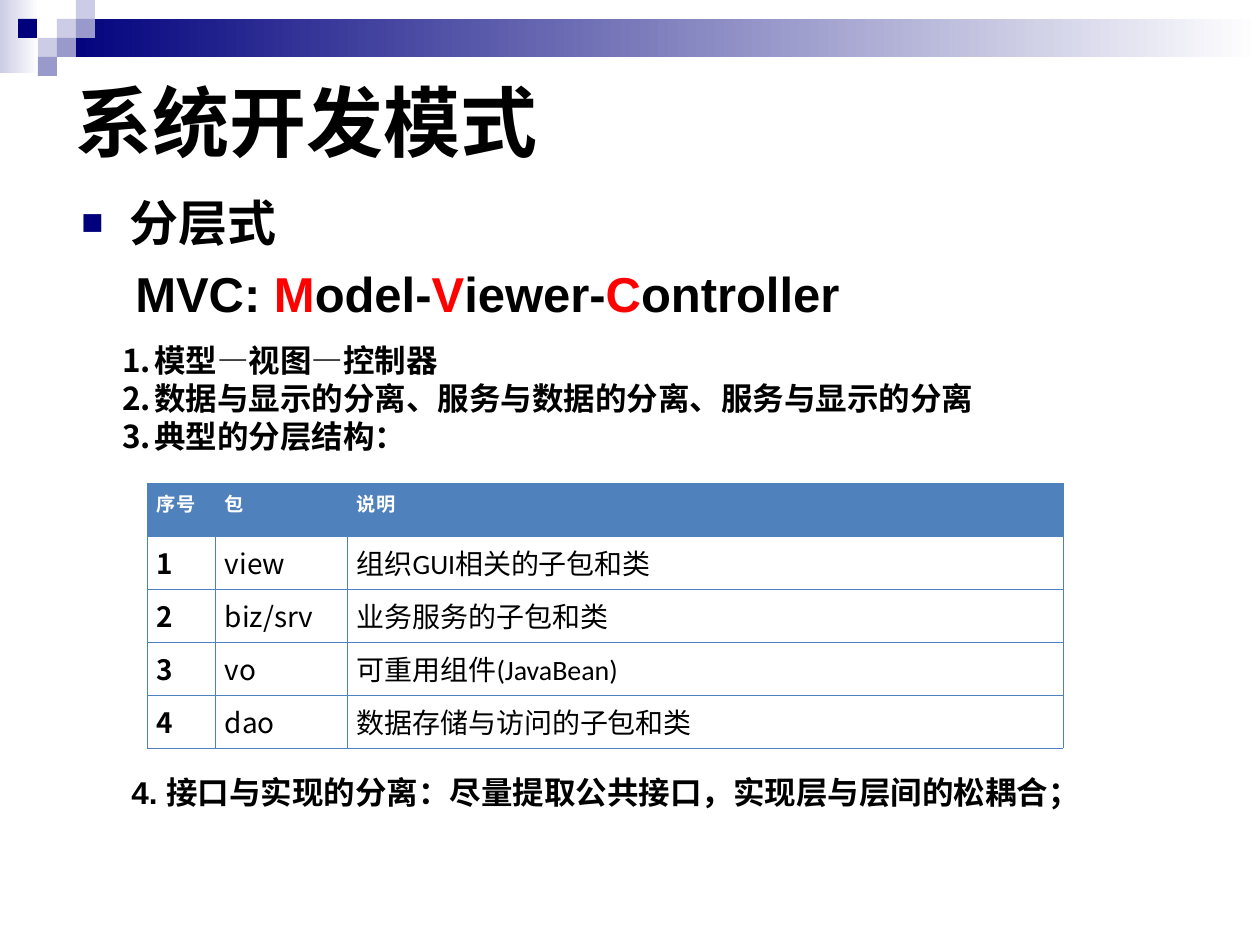
from lxml.etree import SubElement
from pptx import Presentation
from pptx.dml.color import RGBColor
from pptx.enum.shapes import MSO_SHAPE as Shape
from pptx.enum.text import MSO_ANCHOR as Anchor, MSO_AUTO_SIZE as AutoSize, PP_ALIGN as Align
from pptx.oxml.ns import qn
from pptx.util import Emu, Pt

EMU_PER_PX = 914400 / 126
COLORS = {
    "navy": "00007D",
    "violet": "9999CC",
    "lavender": "CCCCE6",
    "white": "FFFFFF",
    "black": "000000",
    "red": "FF0000",
    "table": "4F81BD",
}
HEADING = {"name": "Arial", "size": Pt(44), "bold": True}
TOPIC = {"name": "Arial", "size": Pt(28), "bold": True}
POINT = {"name": "Arial", "size": Pt(18), "bold": True}
HEADER = {"name": "Calibri", "size": Pt(11), "bold": True}
COLUMN_FONTS = [
    {"name": "Noto Sans CJK SC", "size": Pt(16), "bold": True},
    {"name": "Noto Sans CJK SC", "size": Pt(16), "bold": False},
    {"name": "Calibri", "size": Pt(16), "bold": False},
]
CELL = 19
SQUARES = [
    (57, 19, "lavender"),
    (76, 0, "lavender"),
    (76, 19, "violet"),
    (38, 38, "lavender"),
    (18, 19, "navy"),
    (57, 38, "violet"),
    (38, 57, "violet"),
]
MVC_PARTS = [
    ("MVC: ", "black"),
    ("M", "red"),
    ("odel-", "black"),
    ("V", "red"),
    ("iewer-", "black"),
    ("C", "red"),
    ("ontroller", "black"),
]
POINTS = [
    "模型—视图—控制器",
    "数据与显示的分离、服务与数据的分离、服务与显示的分离",
    "典型的分层结构：",
]
LAYERS = [
    ("序号", "包", "说明"),
    ("1", "view", "组织GUI相关的子包和类"),
    ("2", "biz/srv", "业务服务的子包和类"),
    ("3", "vo", "可重用组件(JavaBean)"),
    ("4", "dao", "数据存储与访问的子包和类"),
]
COLUMN_WIDTHS = [68, 132, 716]
ROW_HEIGHT = 53


def px(value):
    return Emu(round(value * EMU_PER_PX))


def box(*lengths):
    return [px(length) for length in lengths]


def color(name):
    return RGBColor.from_string(COLORS[name])


def apply(target, values):
    for name, value in values.items():
        setattr(target, name, value)


def add_run(paragraph, text, font, color_name="black"):
    run = paragraph.add_run()
    run.text = text
    apply(run.font, font)
    run.font.color.rgb = color(color_name)


def set_indent(paragraph, left, first=0):
    properties = paragraph._p.get_or_add_pPr()
    properties.set("marL", str(px(left)))
    properties.set("indent", str(px(first)))
    return properties


def add_bullet(properties, color_name, size, font, tag, **marker):
    bullet_color = SubElement(properties, qn("a:buClr"))
    SubElement(bullet_color, qn("a:srgbClr"), val=COLORS[color_name])
    SubElement(properties, qn("a:buSzPct"), val=str(size * 1000))
    SubElement(properties, qn("a:buFont"), typeface=font)
    SubElement(properties, qn(tag), **marker)


def add_rectangle(slide, position, color_name, fade=False):
    shape = slide.shapes.add_shape(Shape.RECTANGLE, *box(*position))
    shape.shadow.inherit = False
    shape.line.fill.background()
    if fade:
        shape.fill.gradient()
        shape.fill.gradient_angle = 0
        for stop, name in zip(shape.fill.gradient_stops, (color_name, "white")):
            stop.color.rgb = color(name)
    else:
        shape.fill.solid()
        shape.fill.fore_color.rgb = color(color_name)


def add_decoration(slide):
    add_rectangle(slide, (0, 0, 39, 73), "lavender", fade=True)
    add_rectangle(slide, (57, 19, 1203, 38), "navy", fade=True)
    for left, top, color_name in SQUARES:
        add_rectangle(slide, (left, top, CELL, CELL), color_name)


def set_title(slide, text):
    title = slide.shapes.title
    apply(title, dict(zip(("left", "top", "width", "height"), box(63, 63, 1134, 115))))
    apply(title.text_frame, {"vertical_anchor": Anchor.MIDDLE, "word_wrap": True})
    paragraph = title.text_frame.paragraphs[0]
    paragraph.alignment = Align.LEFT
    add_run(paragraph, text, HEADING)


def add_text_frame(slide, position, anchor=Anchor.TOP):
    frame = slide.shapes.add_textbox(*box(*position)).text_frame
    apply(frame, {"word_wrap": True, "auto_size": AutoSize.NONE, "vertical_anchor": anchor})
    return frame


def add_topic(slide):
    frame = add_text_frame(slide, (69, 186, 1134, 150))
    topic = frame.paragraphs[0]
    add_bullet(set_indent(topic, 48, -48), "navy", 75, "Arial", "a:buChar", char="■")
    add_run(topic, "分层式", TOPIC)
    pattern = frame.add_paragraph()
    set_indent(pattern, 54)
    for text, color_name in MVC_PARTS:
        add_run(pattern, text, TOPIC, color_name)
    for paragraph in frame.paragraphs:
        paragraph.space_before = Pt(7)


def add_points(slide):
    frame = add_text_frame(slide, (79, 335, 1033, 126), Anchor.MIDDLE)
    for index, text in enumerate(POINTS):
        paragraph = frame.add_paragraph() if index else frame.paragraphs[0]
        properties = set_indent(paragraph, 63, -32)
        add_bullet(properties, "black", 100, "Noto Sans CJK SC", "a:buAutoNum", type="arabicPeriod")
        add_run(paragraph, text, POINT)


def add_closing_point(slide):
    paragraph = add_text_frame(slide, (88, 767, 1063, 50)).paragraphs[0]
    set_indent(paragraph, 63, -32)
    add_run(paragraph, "4. 接口与实现的分离：尽量提取公共接口，实现层与层间的松耦合；", POINT)


def set_borders(cell):
    properties = cell._tc.get_or_add_tcPr()
    for index, side in enumerate(("lnL", "lnR", "lnT", "lnB")):
        line = SubElement(properties, qn(f"a:{side}"), w=str(Pt(0.45)))
        fill = SubElement(line, qn("a:solidFill"))
        SubElement(fill, qn("a:srgbClr"), val=COLORS["table"])
        properties.insert(index, line)


def fill_cell(cell, text, font, is_header):
    apply(cell, {"margin_left": px(10), "margin_right": px(10)})
    set_borders(cell)
    if is_header:
        cell.fill.solid()
        cell.fill.fore_color.rgb = color("table")
    else:
        cell.fill.background()
    paragraph = cell.text_frame.paragraphs[0]
    apply(paragraph, {"space_before": Pt(8), "space_after": Pt(4)})
    add_run(paragraph, text, font, "white" if is_header else "black")


def add_layer_table(slide):
    position = box(147, 483, sum(COLUMN_WIDTHS), ROW_HEIGHT * len(LAYERS))
    table = slide.shapes.add_table(len(LAYERS), len(COLUMN_WIDTHS), *position).table
    for column, width in zip(table.columns, COLUMN_WIDTHS):
        column.width = px(width)
    for row_index, texts in enumerate(LAYERS):
        table.rows[row_index].height = px(ROW_HEIGHT)
        for column_index, text in enumerate(texts):
            is_header = row_index == 0
            font = HEADER if is_header else COLUMN_FONTS[column_index]
            fill_cell(table.cell(row_index, column_index), text, font, is_header)


def main():
    presentation = Presentation()
    apply(presentation, {"slide_width": px(1260), "slide_height": px(945)})
    slide = presentation.slides.add_slide(presentation.slide_layouts[5])
    add_decoration(slide)
    set_title(slide, "系统开发模式")
    add_topic(slide)
    add_points(slide)
    add_layer_table(slide)
    add_closing_point(slide)
    presentation.save("out.pptx")


if __name__ == "__main__":
    main()
